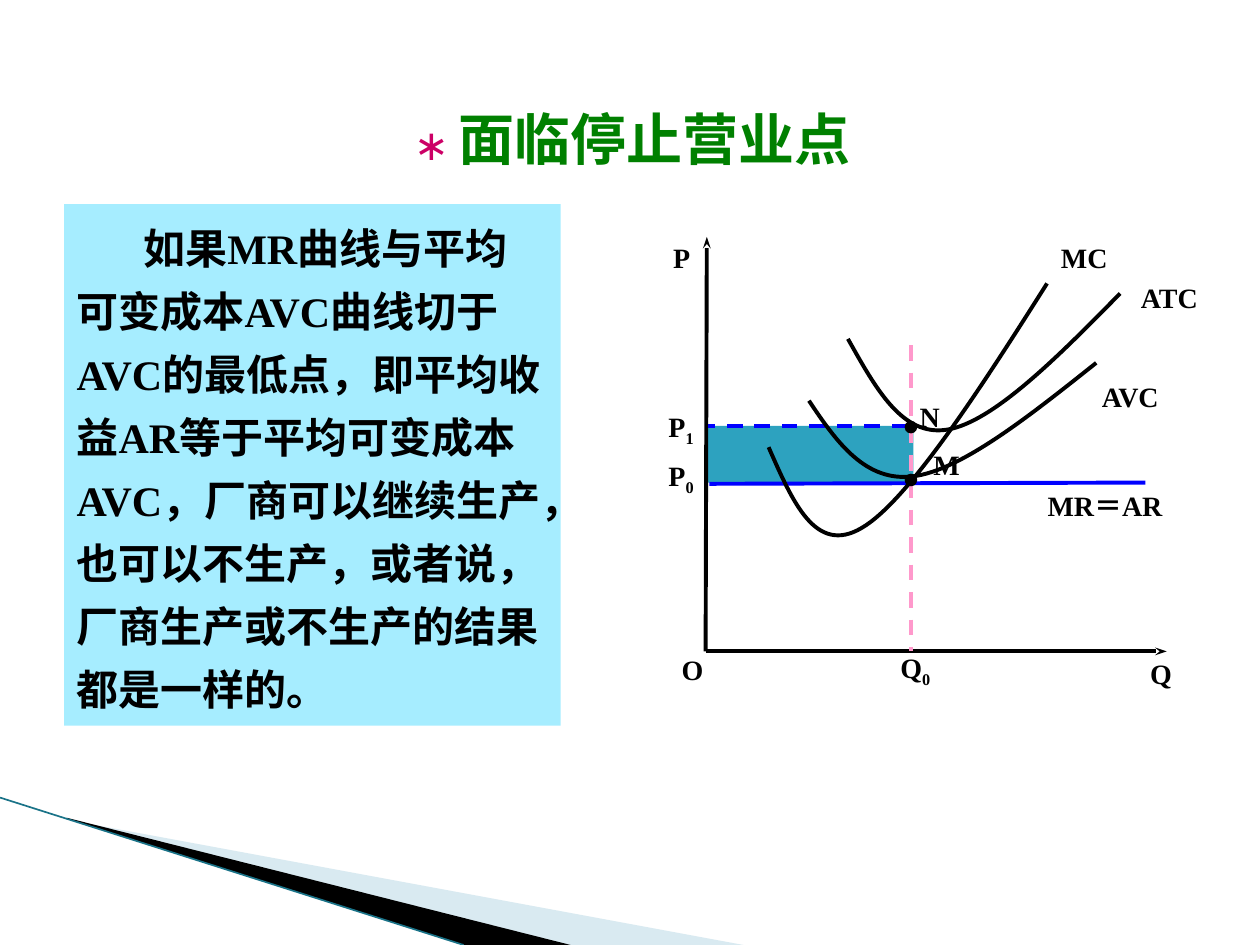
from lxml import etree
from pptx import Presentation
from pptx import util as u
from pptx.dml.color import RGBColor
from pptx.enum import dml, shapes, text
from pptx.oxml.ns import qn

LATIN, HAN = "Times New Roman", "Noto Sans CJK JP"
BLACK, BLUE, PINK, TEAL = "000000", "0000FF", "FF99CC", "2DA2BF"

TITLE = [("∗ ", 24, LATIN, "CC0066", False), ("面临停止营业点", 32, HAN, "008000", True)]
BODY = ("如果MR曲线与平均可变成本AVC曲线切于AVC的最低点，即平均收益AR等于平均可变成本AVC，"
        "厂商可以继续生产，也可以不生产，或者说，厂商生产或不生产的结果都是一样的。")

AXIS_X, AXIS_Y, OUTPUT_X = 5.6, 5.17, 7.23
PRICE_1, PRICE_0 = 3.38, 3.83

WEDGES = [
    ([(0.55, 6.51), (5.9, 7.5), (4.52, 7.5), (0.55, 6.5)], "A0CBDC", 40),
    ([(0.53, 6.49), (4.53, 7.5), (3.68, 7.5), (0.54, 6.5)], BLACK, 100),
]
LINES = [
    ((0, 6.33), (3.68, 7.5), "1A7388", 0.95, {}),
    ((AXIS_X, AXIS_Y), (AXIS_X + 0.01, 1.88), BLACK, 2.25, {"arrow": True}),
    ((AXIS_X, AXIS_Y), (9.26, AXIS_Y), BLACK, 2.25, {"arrow": True}),
    ((5.63, PRICE_0 + 0.01), (9.09, PRICE_0), BLUE, 2.25, {}),
    ((OUTPUT_X, 2.74), (OUTPUT_X, AXIS_Y), PINK, 2.25, {"dash": True}),
    ((7.2, PRICE_1), (5.62, PRICE_1), BLUE, 2.25, {"dash": True}),
]
CURVES = {
    "MC": [(6.1, 3.55), (6.29, 3.98), (6.47, 4.41), (6.84, 4.19),
           (7.2, 3.98), (7.76, 3.12), (8.31, 2.25)],
    "ATC": [(6.73, 2.69), (6.95, 3.08), (7.16, 3.47), (7.52, 3.41),
            (7.88, 3.35), (8.39, 2.84), (8.89, 2.33)],
    "AVC": [(6.42, 3.18), (6.64, 3.51), (6.87, 3.83), (7.25, 3.78),
            (7.63, 3.73), (8.16, 3.31), (8.7, 2.88)],
}
POINTS = [(OUTPUT_X, 3.81), (OUTPUT_X, 3.39)]
LABELS = [
    ("P", "", 5.08, 1.86, 0.66), ("P", "1", 5.08, 3.2, 0.65), ("P", "0", 5.08, 3.59, 0.65),
    ("O", "", 5.2, 5.13, 0.59), ("Q", "0", 6.91, 5.11, 0.71), ("Q", "", 8.86, 5.16, 0.71),
    ("MC", "", 8.15, 1.86, 0.91), ("ATC", "", 8.94, 2.18, 0.68), ("AVC", "", 8.54, 2.96, 0.86),
    ("MR＝AR", "", 7.83, 3.83, 1.88), ("N", "", 7.2, 3.12, 0.32), ("M", "", 7.31, 3.5, 0.39),
]

deck = Presentation()
deck.slide_width, deck.slide_height = u.Inches(10), u.Inches(7.5)
page = deck.slides.add_slide(deck.slide_layouts[5])


def inches(*values):
    return [u.Inches(value) for value in values]


def color(target, value):
    target.rgb = RGBColor.from_string(value)


def paint(shape, fill, alpha=100):
    shape.shadow.inherit = False
    shape.line.fill.background()
    shape.fill.solid()
    color(shape.fill.fore_color, fill)
    if alpha < 100:
        tone = shape.fill._xPr.find(qn("a:solidFill"))[0]
        etree.SubElement(tone, qn("a:alpha"), val=str(alpha * 1000))


def set_font(font, size, value, name=LATIN, bold=True):
    font.size, font.name, font.bold = u.Pt(size), name, bold
    color(font.color, value)
    etree.SubElement(font._rPr, qn("a:ea"), typeface=HAN)


def outline(points, close):
    first, *rest = [inches(*point) for point in points]
    builder = page.shapes.build_freeform(*first)
    builder.add_line_segments(rest, close=close)
    return builder.convert_to_shape()


def draw_line(start, end, value, width, arrow=False, dash=False):
    line = page.shapes.add_connector(shapes.MSO_CONNECTOR.STRAIGHT, *inches(*start, *end))
    color(line.line.color, value)
    line.line.width = u.Pt(width)
    if dash:
        line.line.dash_style = dml.MSO_LINE.DASH
    if arrow:
        etree.SubElement(line.line._get_or_add_ln(), qn("a:tailEnd"), type="stealth", w="sm")
    etree.SubElement(line._element.spPr, qn("a:effectLst"))


def draw_curve(knots):
    curve = outline(knots, False)
    segments = list(curve._element.iter(qn("a:lnTo")))
    for index in range(0, len(segments), 3):
        arc = etree.Element(qn("a:cubicBezTo"))
        segments[index].addprevious(arc)
        for segment in segments[index:index + 3]:
            arc.append(segment[0])
            segment.getparent().remove(segment)
    curve.shadow.inherit = False
    curve.fill.background()
    color(curve.line.color, BLACK)
    curve.line.width = u.Pt(2.25)


def draw_label(word, subscript, left, top, width):
    box = page.shapes.add_textbox(*inches(left, top, width, 0.35))
    box.text_frame.word_wrap = False
    para = box.text_frame.paragraphs[0]
    para.alignment = text.PP_ALIGN.CENTER
    set_font(para.font, 16, BLACK)
    for part, offset in ((word, None), (subscript, "-25000")):
        if part:
            span = para.add_run()
            span.text = part
            set_font(span.font, 16, BLACK)
            if offset:
                span.font._rPr.set("baseline", offset)


for points, fill, alpha in WEDGES:
    paint(outline(points, True), fill, alpha)

area = page.shapes.add_shape(shapes.MSO_SHAPE.RECTANGLE,
                             *inches(AXIS_X, PRICE_1, 1.65, PRICE_0 - PRICE_1))
paint(area, TEAL)

for start, end, value, width, style in LINES:
    draw_line(start, end, value, width, **style)
for knots in CURVES.values():
    draw_curve(knots)
for x, y in POINTS:
    dot = page.shapes.add_shape(shapes.MSO_SHAPE.OVAL, *inches(x - 0.05, y - 0.05, 0.1, 0.1))
    paint(dot, BLACK)
for label in LABELS:
    draw_label(*label)

panel = page.shapes.add_shape(shapes.MSO_SHAPE.RECTANGLE, *inches(0.51, 1.62, 3.94, 4.14))
paint(panel, "00CCFF", 35)
frame = panel.text_frame
frame.word_wrap = True
frame.vertical_anchor = text.MSO_ANCHOR.TOP
para = frame.paragraphs[0]
para.alignment = text.PP_ALIGN.LEFT
para.line_spacing, para.space_before = 1.25, u.Pt(5)
para._p.get_or_add_pPr().set("indent", str(u.Inches(0.53)))
span = para.add_run()
span.text = BODY
set_font(span.font, 24, BLACK)

title = page.shapes.title
title.left, title.top, title.width, title.height = inches(2.77, 0.78, 4.5, 0.64)
title.text_frame.vertical_anchor = text.MSO_ANCHOR.MIDDLE
para = title.text_frame.paragraphs[0]
para.alignment = text.PP_ALIGN.CENTER
for words, size, name, value, bold in TITLE:
    span = para.add_run()
    span.text = words
    set_font(span.font, size, value, name, bold)

deck.save("out.pptx")
